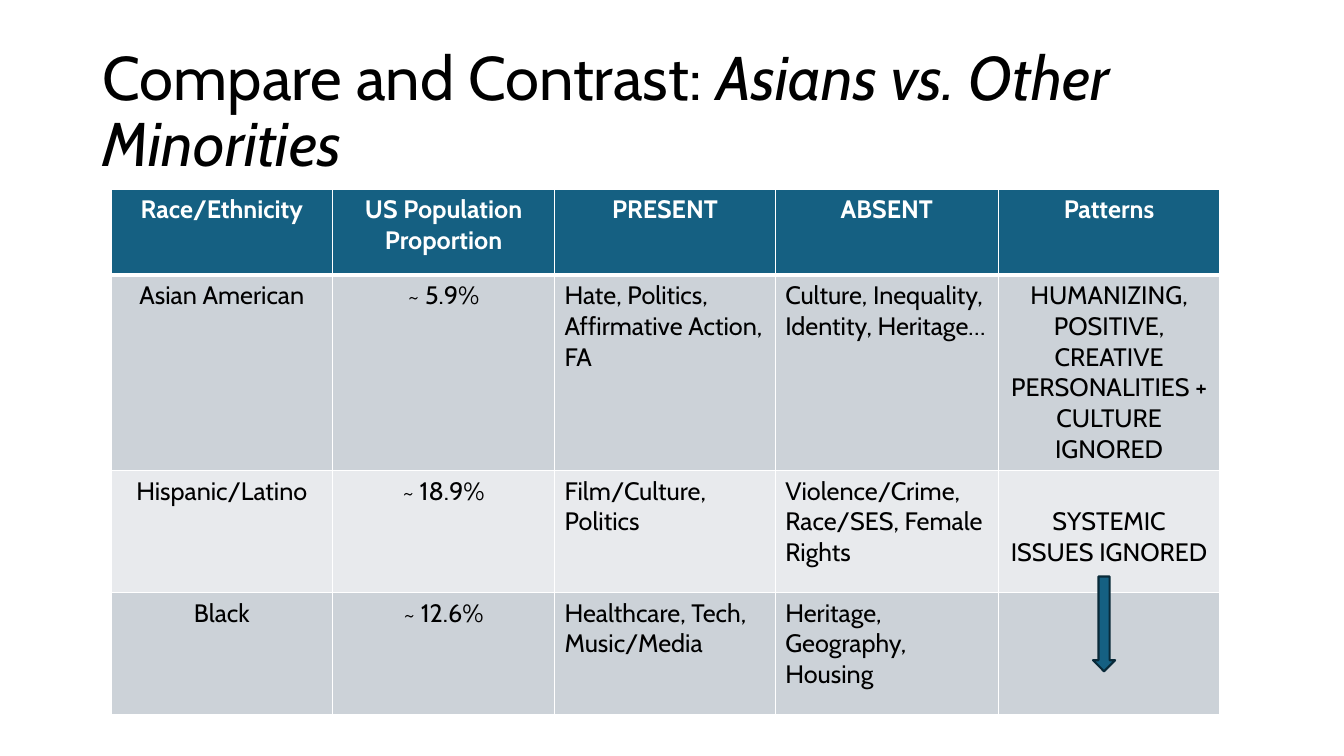
from dataclasses import dataclass
from typing import Any

import pptx
import pptx.dml.color
import pptx.enum.shapes
import pptx.enum.text
import pptx.oxml
import pptx.oxml.ns
import pptx.util
from pptx.util import Inches

FONT = "Cabin"
BLUE, WHITE, BLACK = "156082", "FFFFFF", "000000"
BAND_DARK, BAND_LIGHT = "CCD2D8", "E8EAED"
ALIGN = pptx.enum.text.PP_ALIGN


@dataclass
class Column:
    heading: str
    width: float
    align: Any = ALIGN.CENTER


@dataclass
class Row:
    texts: list[str]
    height: float
    fill: str
    color: str = BLACK
    bold: bool = False
    top_border: float = 1
    bottom_border: float = 1


COLUMNS = [
    Column("Race/Ethnicity", 2.2),
    Column("US Population Proportion", 2.2),
    Column("PRESENT", 2.19, ALIGN.LEFT),
    Column("ABSENT", 2.21, ALIGN.LEFT),
    Column("Patterns", 2.2),
]
ROWS = [
    Row([column.heading for column in COLUMNS], 0.85, BLUE, WHITE, True, bottom_border=3),
    Row(["Asian American", "~ 5.9%", "Hate, Politics, Affirmative Action, FA",
         "Culture, Inequality, Identity, Heritage…",
         "HUMANIZING, POSITIVE, CREATIVE PERSONALITIES + CULTURE IGNORED"],
        1.94, BAND_DARK, top_border=3),
    Row(["Hispanic/Latino", "~ 18.9%", "Film/Culture, Politics",
         "Violence/Crime, Race/SES, Female Rights", "SYSTEMIC ISSUES IGNORED"],
        1.21, BAND_LIGHT),
    Row(["Black", "~ 12.6%", "Healthcare, Tech, Music/Media",
         "Heritage, Geography, Housing", ""],
        1.21, BAND_DARK),
]


def rgb(color: str) -> pptx.dml.color.RGBColor:
    return pptx.dml.color.RGBColor.from_string(color)


def apply_format(target: Any, values: dict[str, Any]) -> None:
    for name, value in values.items():
        setattr(target, name, value)


def add_span(para: Any, text: str, size: float, color: str, **values: Any) -> None:
    span = para.add_run()
    span.text = text
    apply_format(span.font, {"name": FONT, "size": pptx.util.Pt(size), **values})
    span.font.color.rgb = rgb(color)


def set_borders(cell: Any, row: Row) -> None:
    properties = cell._tc.get_or_add_tcPr()
    widths = {"lnL": 1, "lnR": 1, "lnT": row.top_border, "lnB": row.bottom_border}
    for tag, width in widths.items():
        properties.append(pptx.oxml.parse_xml(
            f'<a:{tag} {pptx.oxml.ns.nsdecls("a")} w="{pptx.util.Pt(width)}">'
            f'<a:solidFill><a:srgbClr val="{WHITE}"/></a:solidFill></a:{tag}>'))


def add_title(slide: Any) -> None:
    title = slide.shapes.title
    apply_format(title, {"left": Inches(0.92), "top": Inches(0.4),
                         "width": Inches(11.77), "height": Inches(1.45)})
    apply_format(title.text_frame, {
        "word_wrap": True,
        "auto_size": pptx.enum.text.MSO_AUTO_SIZE.NONE,
        "vertical_anchor": pptx.enum.text.MSO_ANCHOR.MIDDLE,
    })
    para = title.text_frame.paragraphs[0]
    apply_format(para, {"alignment": ALIGN.LEFT, "line_spacing": 0.9})
    add_span(para, "Compare and Contrast: ", 44, BLACK)
    add_span(para, "Asians vs. Other Minorities", 44, BLACK, italic=True)


def add_comparison(slide: Any) -> Any:
    table = slide.shapes.add_table(
        len(ROWS), len(COLUMNS), Inches(1.1), Inches(1.88),
        Inches(sum(column.width for column in COLUMNS)),
        Inches(sum(row.height for row in ROWS))).table
    for column_index, column in enumerate(COLUMNS):
        table.columns[column_index].width = Inches(column.width)
    for row_index, row in enumerate(ROWS):
        table.rows[row_index].height = Inches(row.height)
        for column_index, (column, text) in enumerate(zip(COLUMNS, row.texts)):
            cell = table.cell(row_index, column_index)
            set_borders(cell, row)
            cell.fill.solid()
            cell.fill.fore_color.rgb = rgb(row.fill)
            para = cell.text_frame.paragraphs[0]
            para.alignment = ALIGN.CENTER if row_index == 0 else column.align
            if text:
                add_span(para, text, 18, row.color, bold=row.bold)
    return table


def add_down_arrow(slide: Any) -> None:
    arrow = slide.shapes.add_shape(
        pptx.enum.shapes.MSO_SHAPE.DOWN_ARROW,
        Inches(10.84), Inches(5.72), Inches(0.22), Inches(0.94))
    arrow.shadow.inherit = False
    arrow.fill.solid()
    arrow.fill.fore_color.rgb = rgb(BLUE)
    arrow.line.color.rgb = rgb("092A39")
    arrow.line.width = pptx.util.Pt(1.5)


def main() -> None:
    deck = pptx.Presentation()
    apply_format(deck, {"slide_width": Inches(13.33), "slide_height": Inches(7.5)})
    slide = deck.slides.add_slide(deck.slide_layouts.get_by_name("Title Only"))
    add_title(slide)
    table = add_comparison(slide)
    table.cell(2, 4).margin_top = Inches(0.35)
    add_down_arrow(slide)
    deck.save("out.pptx")


if __name__ == "__main__":
    main()
